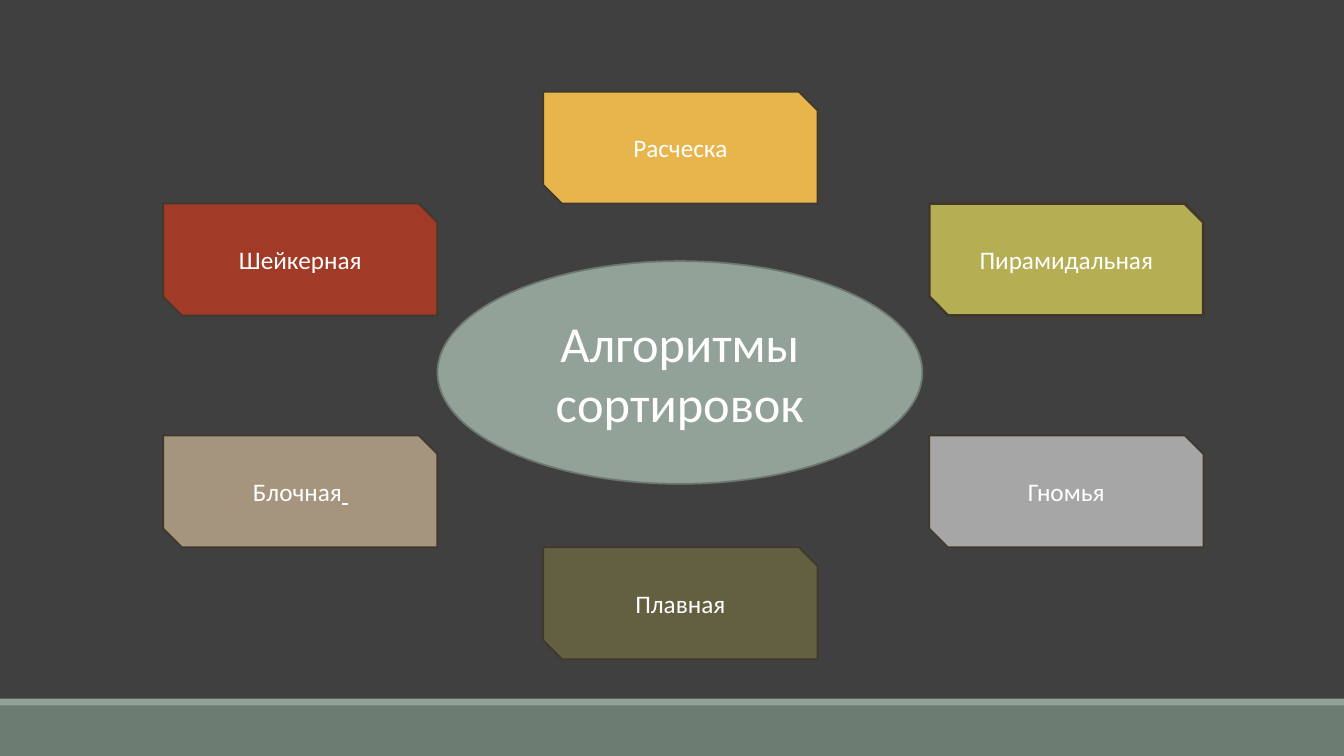
from pptx import Presentation
from pptx import util as u
from pptx.dml.color import RGBColor
from pptx.enum import shapes, text

WHITE = RGBColor(0xFF, 0xFF, 0xFF)
CHARCOAL = RGBColor(0x40, 0x40, 0x40)
SAGE = RGBColor(0x93, 0xA2, 0x99)
DARK_SAGE = RGBColor(0x6B, 0x7D, 0x72)
SAGE_EDGE = RGBColor(0x6D, 0x78, 0x71)
BROWN_EDGE = RGBColor(0x40, 0x38, 0x2D)
RED = RGBColor(0xA2, 0x3A, 0x28)
TAN = RGBColor(0xA5, 0x95, 0x7E)
GREY = RGBColor(0xA6, 0xA6, 0xA6)
OLIVE = RGBColor(0xB5, 0xAE, 0x53)
AMBER = RGBColor(0xE8, 0xB5, 0x4D)
MOSS = RGBColor(0x63, 0x60, 0x42)

WIDTH, HEIGHT = 960, 540
CARD_WIDTH, CARD_HEIGHT = 195.8, 79.9
LEFT, MIDDLE, RIGHT = 116.6, 388.1, 663.8
TOP, UPPER, LOWER, BOTTOM = 65.5, 145.4, 311, 390.9

CARDS = [
    ("Шейкерная", LEFT, UPPER, RED, 1.25),
    ("Блочная", LEFT, LOWER, TAN, 1.25),
    ("Гномья", RIGHT, LOWER, GREY, 1.25),
    ("Пирамидальная", RIGHT, UPPER, OLIVE, 2),
    ("Расческа", MIDDLE, TOP, AMBER, 1.25),
    ("Плавная", MIDDLE, BOTTOM, MOSS, 1.25),
]


class SlideBuilder:
    font = "Calibri"

    def __init__(self, page):
        self.page = page
        page.background.fill.solid()
        page.background.fill.fore_color.rgb = CHARCOAL

    def shape(self, kind, left, top, width, height, color):
        shape = self.page.shapes.add_shape(
            kind, u.Pt(left), u.Pt(top), u.Pt(width), u.Pt(height))
        shape.shadow.inherit = False
        shape.fill.solid()
        shape.fill.fore_color.rgb = color
        shape.line.fill.background()
        return shape

    def outline(self, shape, color, weight):
        shape.line.color.rgb = color
        shape.line.width = u.Pt(weight)

    def label(self, shape, words, size):
        frame = shape.text_frame
        frame.text = words
        frame.word_wrap = True
        frame.vertical_anchor = text.MSO_ANCHOR.MIDDLE
        para = frame.paragraphs[0]
        para.alignment = text.PP_ALIGN.CENTER
        self.style(para.runs[0], size)
        return para

    def style(self, span, size):
        span.font.name = self.font
        span.font.size = u.Pt(size)
        span.font.color.rgb = WHITE

    def band(self, top, height, color):
        self.shape(shapes.MSO_SHAPE.RECTANGLE, 0, top, WIDTH, height, color)

    def hub(self, words):
        oval = self.shape(
            shapes.MSO_SHAPE.OVAL, 312.5, 186.5, 346.3, 159.1, SAGE)
        self.outline(oval, SAGE_EDGE, 1.25)
        self.label(oval, words, 36)

    def card(self, words, left, top, color, weight):
        box = self.shape(shapes.MSO_SHAPE.SNIP_2_DIAG_RECTANGLE,
                         left, top, CARD_WIDTH, CARD_HEIGHT, color)
        self.outline(box, BROWN_EDGE, weight)
        return self.label(box, words, 18)

    def underlined_space(self, para):
        span = para.add_run()
        span.text = " "
        self.style(span, 18)
        span.font.underline = True


def main():
    deck = Presentation()
    deck.slide_width, deck.slide_height = u.Pt(WIDTH), u.Pt(HEIGHT)
    builder = SlideBuilder(deck.slides.add_slide(deck.slide_layouts[6]))
    builder.band(504, 36, DARK_SAGE)
    builder.band(499, 5, SAGE)
    builder.hub("Алгоритмы сортировок")
    for words, left, top, color, weight in CARDS:
        para = builder.card(words, left, top, color, weight)
        if words == "Блочная":
            builder.underlined_space(para)
    deck.save("out.pptx")


if __name__ == "__main__":
    main()
